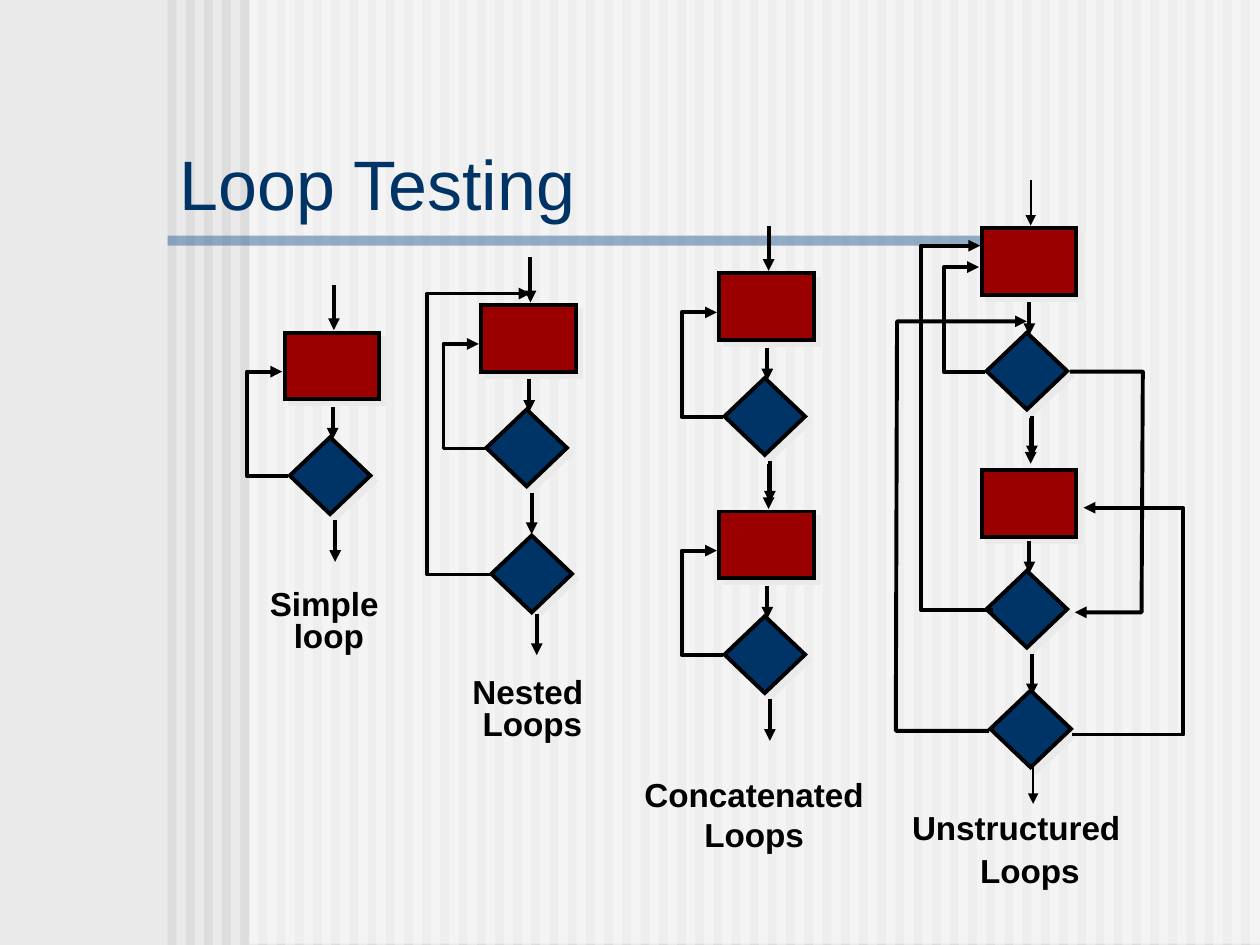
import dataclasses
from typing import Optional

import pptx
import pptx.dml.color
import pptx.enum.shapes
import pptx.enum.text
import pptx.oxml
import pptx.oxml.ns
import pptx.util
from pptx.util import Inches

SHAPE = pptx.enum.shapes.MSO_SHAPE
ALIGN = pptx.enum.text.PP_ALIGN
ANCHOR = pptx.enum.text.MSO_ANCHOR
BLACK, RED, NAVY, GREY = "000000", "9A0000", "003366", "EAEAEA"
THICK, THIN = 2.25, 1
Point = tuple[float, float]

deck = pptx.Presentation()
deck.slide_width, deck.slide_height = Inches(10), Inches(7.5)
slide = deck.slides.add_slide(deck.slide_layouts[6])


@dataclasses.dataclass
class Label:
    lines: list[str]
    left: float
    top: float
    width: float
    height: float
    size: float = 19
    color: str = BLACK
    bold: bool = True
    align: ALIGN = ALIGN.CENTER
    anchor: ANCHOR = ANCHOR.TOP
    spacing: Optional[float] = None


@dataclasses.dataclass
class Loop:
    """A process box above a decision, with its arrows."""
    left: float
    top: float
    box_shift: float = 0
    entry_width: float = THICK
    repeats: bool = True


def rgb(color: str) -> pptx.dml.color.RGBColor:
    return pptx.dml.color.RGBColor.from_string(color)


def add_xml(parent, tag: str, **attributes):
    child = pptx.oxml.parse_xml(f"<a:{tag} {pptx.oxml.ns.nsdecls('a')}/>")
    for key, value in attributes.items():
        child.set(key, str(value))
    parent.append(child)
    return child


def draw_band(left: float, top: float, width: float, height: float,
              color: str, opacity: int = 100) -> None:
    band = slide.shapes.add_shape(
        SHAPE.RECTANGLE, Inches(left), Inches(top), Inches(width), Inches(height))
    band.shadow.inherit = False
    band.fill.solid()
    band.fill.fore_color.rgb = rgb(color)
    band.line.fill.background()
    if opacity < 100:
        fill_color = next(band._element.spPr.iter(pptx.oxml.ns.qn("a:srgbClr")))
        add_xml(fill_color, "alpha", val=opacity * 1000)


def draw_node(kind: SHAPE, left: float, top: float, width: float,
              height: float, color: str) -> None:
    node = slide.shapes.add_shape(
        kind, Inches(left), Inches(top), Inches(width), Inches(height))
    node.fill.solid()
    node.fill.fore_color.rgb = rgb(color)
    node.line.color.rgb = rgb(BLACK)
    node.line.width = pptx.util.Pt(THICK)
    add_xml(node.line._get_or_add_ln(), "miter", lim=800000)
    # Hard offset shadow
    node.shadow.inherit = False
    effects = node._element.spPr.find(pptx.oxml.ns.qn("a:effectLst"))
    shadow = add_xml(effects, "outerShdw", blurRad=0,
                     dist=pptx.util.Pt(4.2), dir=45 * 60000, rotWithShape=0)
    add_xml(shadow, "srgbClr", val=GREY)


def draw_box(left: float, top: float) -> None:
    draw_node(SHAPE.RECTANGLE, left, top, 0.75, 0.53, RED)


def draw_decision(left: float, top: float) -> None:
    draw_node(SHAPE.DIAMOND, left, top, 0.64, 0.61, NAVY)


def style_arrow(arrow, width: float) -> None:
    arrow.line.color.rgb = rgb(BLACK)
    arrow.line.width = pptx.util.Pt(width)
    add_xml(arrow.line._get_or_add_ln(), "tailEnd", type="triangle")
    add_xml(arrow._element.spPr, "effectLst")


def draw_down_arrow(x: float, top: float, bottom: float, width: float = THICK) -> None:
    arrow = slide.shapes.add_connector(
        pptx.enum.shapes.MSO_CONNECTOR.STRAIGHT,
        Inches(x), Inches(top), Inches(x), Inches(bottom))
    style_arrow(arrow, width)


def draw_route(*points: Point) -> None:
    start, *others = [(Inches(x), Inches(y)) for x, y in points]
    builder = slide.shapes.build_freeform(*start)
    builder.add_line_segments(others, close=False)
    route = builder.convert_to_shape()
    route.fill.background()
    style_arrow(route, THICK)


def draw_loop(loop: Loop) -> None:
    x, y = loop.left, loop.top
    draw_box(x, y + loop.box_shift)
    draw_decision(x + 0.04, y + 0.83)
    draw_down_arrow(x + 0.39, y - 0.38, y - 0.02, loop.entry_width)
    draw_down_arrow(x + 0.38, y + 0.59, y + 0.85)
    if loop.repeats:
        draw_route((x + 0.03, y + 1.14), (x - 0.3, y + 1.14),
                   (x - 0.3, y + 0.31), (x - 0.02, y + 0.31))
    draw_down_arrow(x + 0.4, y + 1.49, y + 1.82)


def draw_label(label: Label) -> None:
    box = slide.shapes.add_textbox(Inches(label.left), Inches(label.top),
                                   Inches(label.width), Inches(label.height))
    frame = box.text_frame
    frame.word_wrap = False
    frame.vertical_anchor = label.anchor
    frame.text = "\n".join(label.lines)
    for paragraph in frame.paragraphs:
        paragraph.alignment = label.align
        paragraph.line_spacing = label.spacing
        font = paragraph.runs[0].font
        font.name, font.size, font.bold = "Arial", pptx.util.Pt(label.size), label.bold
        font.color.rgb = rgb(label.color)


# Striped background, white veil and title rule
slide.background.fill.solid()
slide.background.fill.fore_color.rgb = rgb(GREY)
STRIPES = 60
FIRST_STRIPE, LAST_STRIPE = 1.33, 9.85
pitch = (LAST_STRIPE - FIRST_STRIPE) / (STRIPES - 1)
for index in range(STRIPES):
    draw_band(FIRST_STRIPE + index * pitch, 0, 0.07, 7.5, "DDDDDD")
draw_band(1.98, 0, 8.02, 7.49, "FFFFFF", 50)
draw_band(1.33, 1.87, 6.58, 0.08, "336699", 50)

# Title and captions
for text_label in (
    Label(["Loop Testing"], 1.33, 1.17, 5.21, 0.55, size=40, color=NAVY,
          bold=False, align=ALIGN.LEFT, anchor=ANCHOR.MIDDLE),
    Label(["Simple ", "loop"], 2.04, 4.64, 1.14, 0.6, spacing=0.8),
    Label(["Nested ", "Loops"], 3.65, 5.34, 1.15, 0.6, spacing=0.8),
    Label(["Concatenated", "Loops"], 4.98, 6.1, 2.01, 0.73),
    Label(["Unstructured"], 7.14, 6.36, 2.36, 0.41, align=ALIGN.LEFT),
    Label(["Loops"], 7.68, 6.7, 0.99, 0.41, align=ALIGN.LEFT),
):
    draw_label(text_label)

# Simple, nested, concatenated (two) and unstructured (two) loops
for flow in (
    Loop(2.26, 2.64),
    Loop(3.82, 2.42),
    Loop(5.71, 2.17),
    Loop(5.71, 4.06),
    Loop(7.79, 1.81, entry_width=THIN),
    Loop(7.79, 3.7, box_shift=0.03, repeats=False),
):
    draw_loop(flow)

# Outer loop of the nested flow
draw_decision(3.9, 4.25)
draw_down_arrow(4.26, 4.87, 5.2)
draw_route((3.9, 4.56), (3.39, 4.56), (3.39, 2.33), (4.21, 2.33))

# Crossing jumps of the unstructured flow
draw_decision(7.86, 5.48)
draw_route((7.88, 4.84), (7.31, 4.84), (7.31, 1.95), (7.78, 1.95))
draw_route((8.49, 2.95), (9.07, 2.95), (9.06, 4.86), (8.53, 4.86))
draw_route((8.51, 5.83), (9.39, 5.83), (9.39, 4.03), (8.6, 4.03))
draw_route((7.85, 5.8), (7.11, 5.8), (7.12, 2.55), (8.15, 2.55))
draw_down_arrow(8.2, 6.06, 6.38, THIN)

deck.save("out.pptx")
